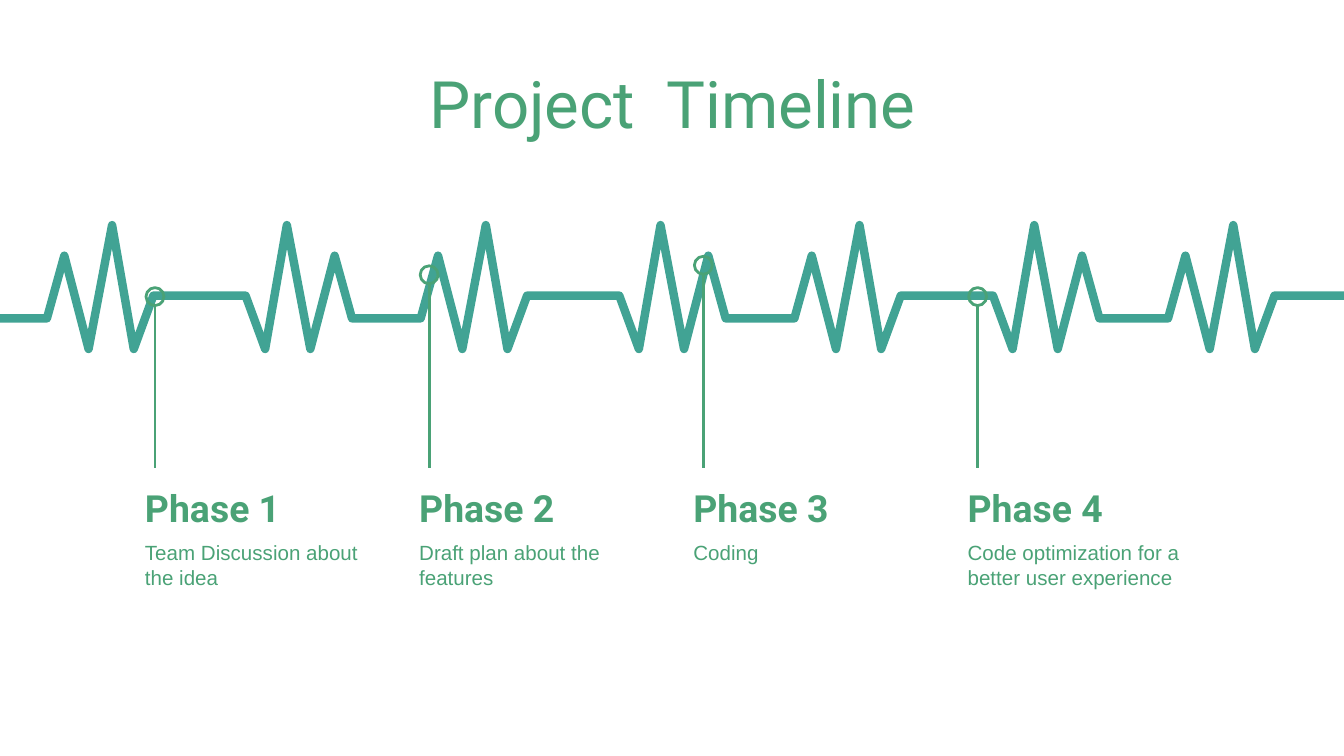
from lxml.etree import SubElement
from pptx import Presentation
from pptx.dml.color import RGBColor
from pptx.enum.shapes import MSO_CONNECTOR, MSO_SHAPE
from pptx.enum.text import MSO_ANCHOR, MSO_AUTO_SIZE, PP_ALIGN
from pptx.oxml.ns import qn
from pptx.util import Pt

COLOURS = {"text": "4AA276", "pulse": "41A394"}
FORMATS = {
    "title": {"name": "Roboto", "size": Pt(35), "bold": False},
    "phase": {"name": "Roboto", "size": Pt(20), "bold": True},
    "detail": {"name": "Arial", "size": Pt(11), "bold": False},
}

presentation = Presentation()
presentation.slide_width, presentation.slide_height = Pt(720), Pt(405)
slide = presentation.slides.add_slide(presentation.slide_layouts[6])


def add_text(text, style, left, top, width, height,
             anchor=MSO_ANCHOR.MIDDLE, align=PP_ALIGN.LEFT):
    box = slide.shapes.add_textbox(Pt(left), Pt(top), Pt(width), Pt(height))
    frame = box.text_frame
    frame_format = {"word_wrap": True, "auto_size": MSO_AUTO_SIZE.NONE,
                    "vertical_anchor": anchor}
    for side in ("left", "top", "right", "bottom"):
        frame_format[f"margin_{side}"] = Pt(7.2)
    for name, value in frame_format.items():
        setattr(frame, name, value)
    paragraph = frame.paragraphs[0]
    paragraph.alignment = align
    run = paragraph.add_run()
    run.text = text
    for name, value in FORMATS[style].items():
        setattr(run.font, name, value)
    run.font.color.rgb = RGBColor.from_string(COLOURS["text"])


def set_line(shape, colour, width):
    shape.line.color.rgb = RGBColor.from_string(COLOURS[colour])
    shape.line.width = Pt(width)


# Title
add_text("Project  Timeline", "title", 56.9, 42.5, 607, 25.2, align=PP_ALIGN.CENTER)

# Pulse line: each beat rises to its axis and mirrors back, the last one only rises
BEAT_AXIS, BEAT_PERIOD, BEATS = 106.9, 200.2, 4
LOW, HIGH = 170.6, 158.4
half_beat = [(-81.7, LOW), (-72.4, 137), (-59.4, 187), (-46.8, 120.6),
             (-35.2, 187), (-24.7, HIGH)]
mirrored_half = [(-x, y) for x, y in reversed(half_beat)]
points = []
for beat in range(BEATS):
    axis = BEAT_AXIS + beat * BEAT_PERIOD
    offsets = half_beat if beat == BEATS - 1 else half_beat + mirrored_half
    points += [(Pt(axis + x), Pt(y)) for x, y in offsets]
points.append((Pt(732.5), Pt(HIGH)))

builder = slide.shapes.build_freeform(Pt(-10), Pt(LOW))
builder.add_line_segments(points, close=False)
pulse = builder.convert_to_shape()
pulse.shadow.inherit = False
pulse.fill.background()
set_line(pulse, "pulse", 4.5)
pulse_line = pulse.line._get_or_add_ln()
pulse_line.set("cap", "rnd")
SubElement(pulse_line, qn("a:round"))

# Phases: label, detail, marker on the pulse and a stem down to the label
FIRST_LEFT, PHASE_STEP = 70.6, 146.9
MARKER_OFFSET, MARKER_SIZE, STEM_END = 12.4, 9.6, 250.6
phases = [
    ("Team Discussion about the idea", 158.9),
    ("Draft plan about the features", 147.2),
    ("Coding", 142.1),
    ("Code optimization for a better user experience", 158.9),
]
for index, (detail, marker_y) in enumerate(phases):
    left = FIRST_LEFT + index * PHASE_STEP
    marker_x = left + MARKER_OFFSET
    radius = MARKER_SIZE / 2
    add_text(f"Phase {index + 1}", "phase", left, 263.5, 139, 16.6)
    add_text(detail, "detail", left, 282.2, 139, 80, anchor=MSO_ANCHOR.TOP)

    stem = slide.shapes.add_connector(
        MSO_CONNECTOR.STRAIGHT, Pt(marker_x), Pt(marker_y + radius),
        Pt(marker_x), Pt(STEM_END))
    set_line(stem, "text", 1.5)
    SubElement(stem._element.spPr, qn("a:effectLst"))

    marker = slide.shapes.add_shape(
        MSO_SHAPE.OVAL, Pt(marker_x - radius), Pt(marker_y - radius),
        Pt(MARKER_SIZE), Pt(MARKER_SIZE))
    marker.shadow.inherit = False
    marker.fill.background()
    set_line(marker, "text", 1.5)

presentation.save("out.pptx")
